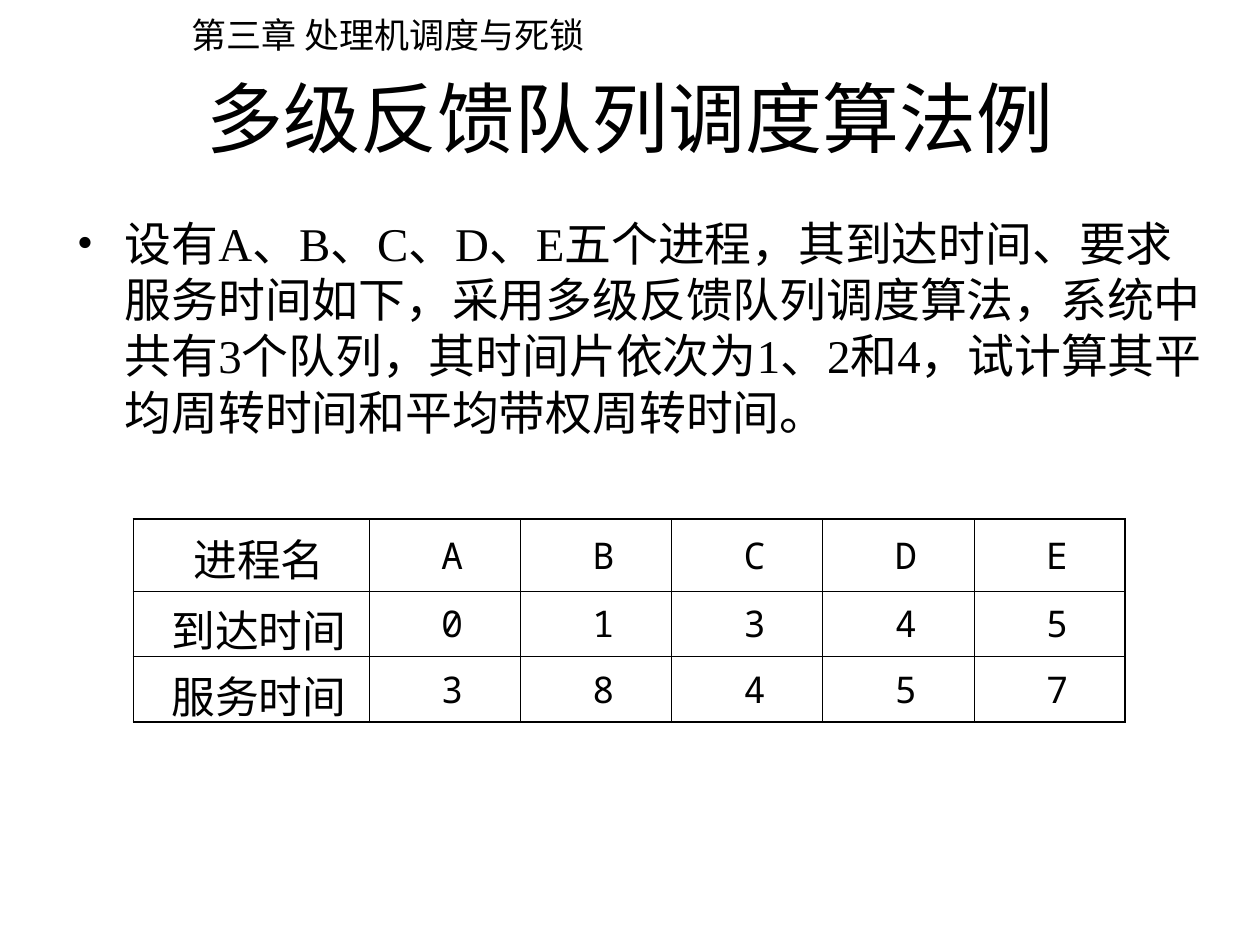
from dataclasses import dataclass
from typing import Any

from lxml import etree
from pptx import Presentation
from pptx import util as u
from pptx.dml.color import RGBColor
from pptx.enum import text
from pptx.oxml import ns

BLACK = RGBColor(0, 0, 0)
CJK = "Noto Sans CJK JP"
SERIF = "Times New Roman"
MONO = "Noto Sans Mono"
OUTER, INNER = 1.08, 0.45


@dataclass(frozen=True)
class ProcessRow:
    label: str
    values: str
    height: float


ROWS = [
    ProcessRow("进程名", "ABCDE", 0.57),
    ProcessRow("到达时间", "01345", 0.52),
    ProcessRow("服务时间", "38457", 0.52),
]
COLUMNS = [1.87] + [1.2] * 5


def add_child(parent: Any, tag: str, **attrs: str) -> Any:
    return etree.SubElement(parent, ns.qn(tag), attrs)


def add_run(p: Any, content: str, size: float, font: str) -> None:
    r = p.add_run()
    r.text = content
    r.font.size = u.Pt(size)
    r.font.name = font
    r.font.color.rgb = BLACK
    add_child(r.font._element, "a:ea", typeface=CJK)


def place(sp: Any, left: float, top: float, width: float, height: float) -> None:
    sp.left, sp.top = u.Inches(left), u.Inches(top)
    sp.width, sp.height = u.Inches(width), u.Inches(height)


def set_indent(p: Any, left: float, first: float) -> Any:
    pPr = p._p.get_or_add_pPr()
    pPr.set("marL", str(u.Inches(left)))
    pPr.set("indent", str(u.Inches(first)))
    return pPr


def add_border(cell: Any, side: str, width: float) -> None:
    tcPr = cell._tc.get_or_add_tcPr()
    ln = add_child(tcPr, f"a:ln{side}", w=str(u.Pt(width)))
    add_child(add_child(ln, "a:solidFill"), "a:srgbClr", val=str(BLACK))


def add_header(s: Any) -> None:
    sp = s.shapes.add_textbox(*map(u.Inches, (1.42, 0.06, 3.38, 0.44)))
    tf = sp.text_frame
    tf.word_wrap = True
    tf.auto_size = text.MSO_AUTO_SIZE.SHAPE_TO_FIT_TEXT
    add_run(tf.paragraphs[0], "第三章 处理机调度与死锁", 20, CJK)


def fill_title(sp: Any) -> None:
    place(sp, 0.5, 0.3, 9, 1.25)
    tf = sp.text_frame
    tf.auto_size = text.MSO_AUTO_SIZE.NONE
    tf.vertical_anchor = text.MSO_ANCHOR.MIDDLE
    p = tf.paragraphs[0]
    p.alignment = text.PP_ALIGN.CENTER
    add_run(p, "多级反馈队列调度算法例", 44, SERIF)


def fill_body(sp: Any) -> None:
    place(sp, 0.51, 1.62, 9.21, 2.44)
    tf = sp.text_frame
    tf.auto_size = text.MSO_AUTO_SIZE.NONE
    tf.margin_top = u.Inches(0.08)
    p = tf.paragraphs[0]
    pPr = set_indent(p, 0.38, -0.38)
    add_child(add_child(pPr, "a:buClr"), "a:srgbClr", val=str(BLACK))
    add_child(pPr, "a:buFont", typeface=SERIF)
    add_child(pPr, "a:buChar", char="•")
    p.space_before = u.Pt(0)
    p.line_spacing = u.Pt(32.2)
    add_run(
        p,
        "设有A、B、C、D、E五个进程，其到达时间、要求服务时间如下，"
        "采用多级反馈队列调度算法，系统中共有3个队列，其时间片依次为1、2和4，"
        "试计算其平均周转时间和平均带权周转时间。",
        26.8,
        SERIF,
    )


def add_process_table(s: Any) -> None:
    heights = [row.height for row in ROWS]
    sp = s.shapes.add_table(
        len(ROWS), len(COLUMNS), u.Inches(1.06), u.Inches(4.12),
        u.Inches(sum(COLUMNS)), u.Inches(sum(heights)),
    )
    table = sp.table
    table.first_row = table.horz_banding = False
    for column, width in zip(table.columns, COLUMNS):
        column.width = u.Inches(width)
    last_row, last_col = len(ROWS) - 1, len(COLUMNS) - 1
    for i, row in enumerate(ROWS):
        table.rows[i].height = u.Inches(row.height)
        for j, content in enumerate([row.label, *row.values]):
            cell = table.cell(i, j)
            cell.vertical_anchor = text.MSO_ANCHOR.MIDDLE
            edges = {"L": j == 0, "R": j == last_col, "T": i == 0, "B": i == last_row}
            for side, is_outer in edges.items():
                add_border(cell, side, OUTER if is_outer else INNER)
            cell.fill.background()
            p = cell.text_frame.paragraphs[0]
            set_indent(p, 0.12, 0)
            p.alignment = text.PP_ALIGN.CENTER
            add_run(p, content, 25 if j == 0 else 21, MONO)


def main() -> None:
    prs = Presentation()
    prs.slide_width, prs.slide_height = u.Inches(10), u.Inches(7.5)
    s = prs.slides.add_slide(prs.slide_layouts[1])
    add_header(s)
    fill_title(s.shapes.title)
    fill_body(s.placeholders[1])
    add_process_table(s)
    prs.save("out.pptx")


if __name__ == "__main__":
    main()
